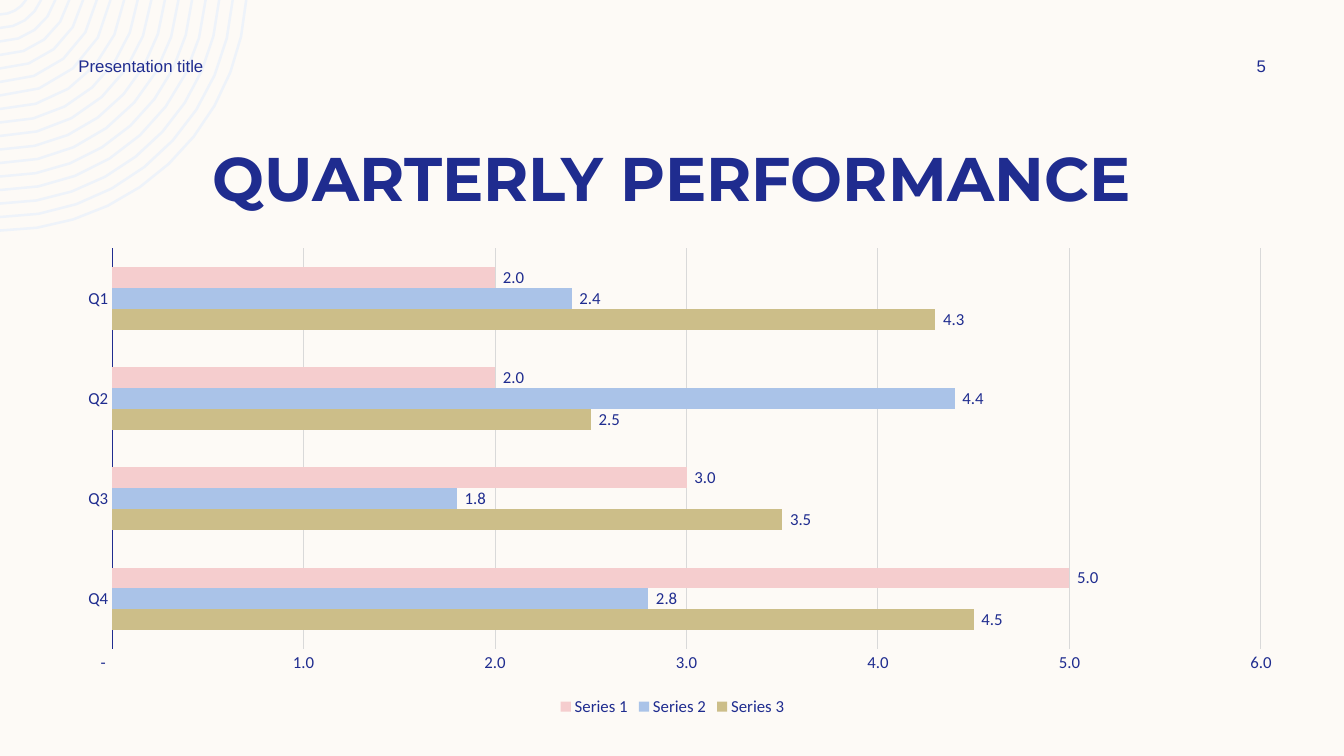
import math

import pptx
import pptx.chart.data
import pptx.dml.color
import pptx.enum.chart
import pptx.enum.text
import pptx.oxml
import pptx.oxml.ns
import pptx.util

Inches = pptx.util.Inches
Pt = pptx.util.Pt

# Content
COLOURS = {"background": "FDFAF6", "rings": "EEF3FA", "text": "1F2C8F",
           "axis": "202C8F", "grid": "D9D9D9"}
LEFT, CENTRE = pptx.enum.text.PP_ALIGN.LEFT, pptx.enum.text.PP_ALIGN.CENTER
# text, (left, top, width, height), alignment, font
TEXTS = [
    ("QUARTERLY PERFORMANCE", (0.83, 1.33, 11.67, 0.84), CENTRE,
     {"name": "Montserrat", "size": Pt(44), "bold": True}),
    ("Presentation title", (0.68, 0.5, 3.5, 0.3), LEFT, {"name": "Arial", "size": Pt(12)}),
    ("5", (11.97, 0.5, 1.08, 0.3), CENTRE, {"name": "Arial", "size": Pt(12)}),
]
QUARTERS = ["Q4", "Q3", "Q2", "Q1"]
SERIES = [
    ("Series 3", (4.5, 3.5, 2.5, 4.3), "CCBE89"),
    ("Series 2", (2.8, 1.8, 4.4, 2.4), "AAC3E8"),
    ("Series 1", (5, 3, 2, 2), "F5CDCE"),
]
CHART_AREA = (0.59, 2.3, 12.16, 4.85)
CHART_FONT = {"name": "Calibri", "size": Pt(12), "bold": False}
PLOT_LAYOUT = {"x": 0.043, "y": 0.034, "w": 0.937, "h": 0.819}
NUMBER_FORMAT = '_(* #,##0.0_);_(* \\(#,##0.0\\);_(* "-"??_);_(@_)'
RINGS = {"count": 17, "centre": -0.16, "outer": 2.46, "step": 0.134, "width": 0.025}


def colour(name):
    return pptx.dml.color.RGBColor.from_string(COLOURS.get(name, name))


def paint(fill, name):
    fill.solid()
    fill.fore_color.rgb = colour(name)


def set_font(font, values):
    for key, value in values.items():
        setattr(font, key, value)
    font.color.rgb = colour("text")


def arc(radius, steps):
    """Points on a circle from the top slide edge round to the left edge."""
    start = math.asin(-RINGS["centre"] / radius)
    angles = [start + (math.pi / 2 - start) * step / steps for step in range(steps + 1)]
    return [(Inches(radius * math.cos(angle)),
             Inches(RINGS["centre"] + radius * math.sin(angle))) for angle in angles]


deck = pptx.Presentation()
deck.slide_width, deck.slide_height = Inches(13.33), Inches(7.5)
page = deck.slides.add_slide(deck.slide_layouts[6])
paint(page.background.fill, "background")

# Concentric rings in the corner, with fewer points on the smaller ones
builder = None
for index in range(RINGS["count"]):
    radius = RINGS["outer"] - index * RINGS["step"]
    steps = max(4, round(4 * radius))
    outline = arc(radius, steps) + arc(radius - RINGS["width"], steps)[::-1]
    if builder is None:
        builder = page.shapes.build_freeform(*outline[0])
    else:
        builder.move_to(*outline[0])
    builder.add_line_segments(outline[1:], close=True)
rings = builder.convert_to_shape()
rings.shadow.inherit = False
paint(rings.fill, "rings")
rings.line.fill.background()

# Title, header and page number
for text, area, alignment, font in TEXTS:
    box = page.shapes.add_textbox(*map(Inches, area))
    frame = box.text_frame
    frame.word_wrap = True
    frame.vertical_anchor = pptx.enum.text.MSO_ANCHOR.MIDDLE
    para = frame.paragraphs[0]
    para.alignment = alignment
    span = para.add_run()
    span.text = text
    set_font(span.font, font)

# Bar chart
data = pptx.chart.data.CategoryChartData(number_format=NUMBER_FORMAT)
data.categories = QUARTERS
for name, values, _ in SERIES:
    data.add_series(name, values)
chart = page.shapes.add_chart(pptx.enum.chart.XL_CHART_TYPE.BAR_CLUSTERED,
                              *map(Inches, CHART_AREA), data).chart
set_font(chart.font, CHART_FONT)
chart.has_title = False
chart.has_legend = True
chart.legend.position = pptx.enum.chart.XL_LEGEND_POSITION.BOTTOM
chart.legend.include_in_layout = False
set_font(chart.legend.font, CHART_FONT)

plot = chart.plots[0]
plot.gap_width = 182
plot.overlap = 0
plot.vary_by_categories = False
for series, (_, _, fill_colour) in zip(plot.series, SERIES):
    series.invert_if_negative = False
    paint(series.format.fill, fill_colour)
plot.has_data_labels = True
labels = plot.data_labels
labels.show_value = True
labels.position = pptx.enum.chart.XL_LABEL_POSITION.OUTSIDE_END
set_font(labels.font, CHART_FONT)

# Axes
quarters, amounts = chart.category_axis, chart.value_axis
for axis in (quarters, amounts):
    axis.major_tick_mark = axis.minor_tick_mark = pptx.enum.chart.XL_TICK_MARK.NONE
    set_font(axis.tick_labels.font, CHART_FONT)
quarters.has_major_gridlines = False
amounts.has_major_gridlines = True
for line, name in ((quarters.format.line, "axis"),
                   (amounts.major_gridlines.format.line, "grid")):
    line.color.rgb = colour(name)
    line.width = Pt(0.75)
amounts.format.line.fill.background()
amounts.minimum_scale, amounts.maximum_scale, amounts.major_unit = 0, 6, 1
for numbers in (labels, amounts.tick_labels):
    numbers.number_format = NUMBER_FORMAT
    numbers.number_format_is_linked = False

# Fixed inner plot area
modes = {"layoutTarget": "inner", "xMode": "edge", "yMode": "edge"}
settings = "".join(f'<c:{key} val="{value}"/>' for key, value in {**modes, **PLOT_LAYOUT}.items())
layout = pptx.oxml.parse_xml(f'<c:layout {pptx.oxml.ns.nsdecls("c")}>'
                             f"<c:manualLayout>{settings}</c:manualLayout></c:layout>")
plot_area = chart._chartSpace.chart.plotArea
for old in plot_area.findall(pptx.oxml.ns.qn("c:layout")):
    plot_area.remove(old)
plot_area.insert(0, layout)

deck.save("out.pptx")
